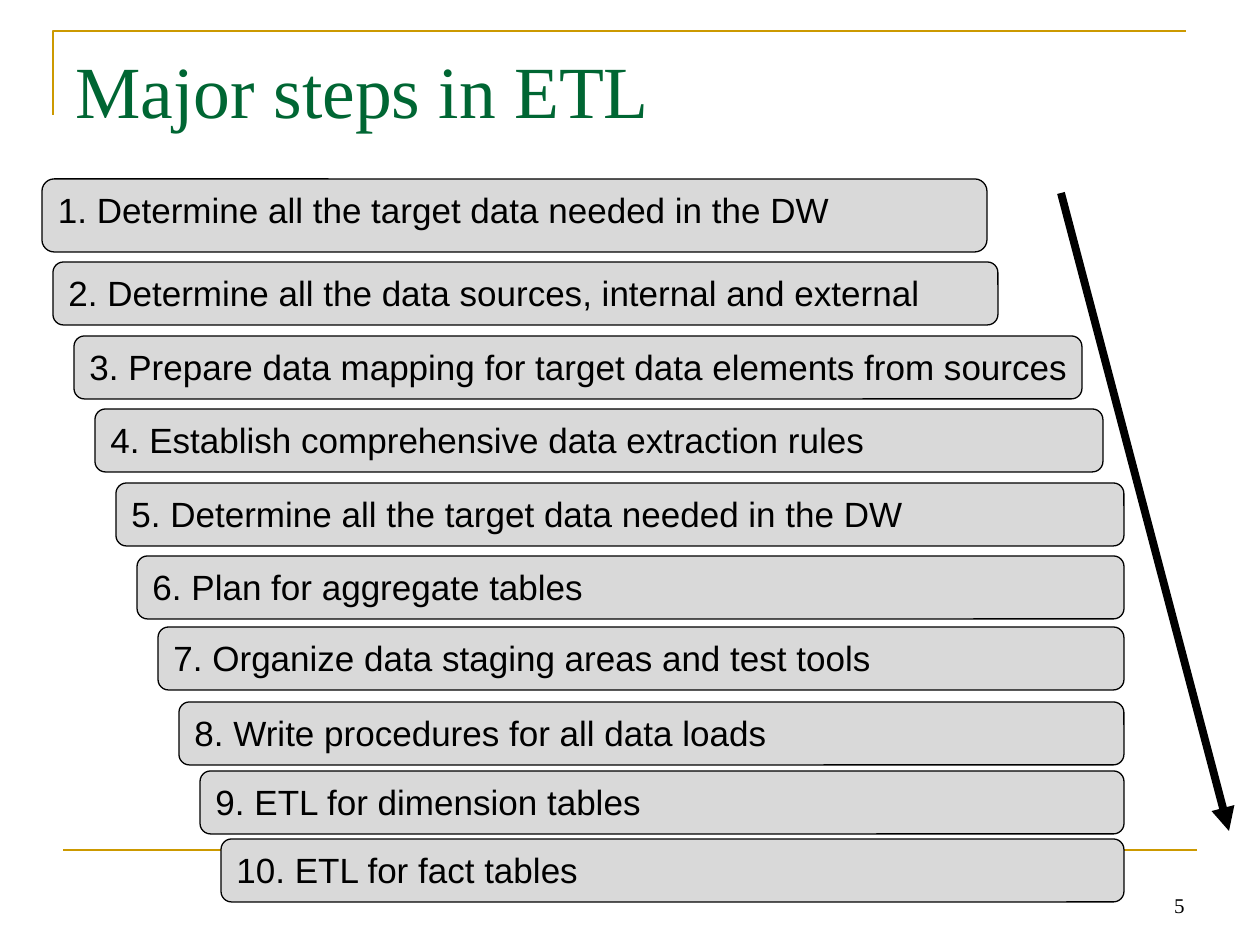
from dataclasses import dataclass
from typing import Any

from lxml import etree
from pptx import Presentation
from pptx import util as u
from pptx.dml.color import RGBColor
from pptx.enum import shapes, text
from pptx.oxml.ns import qn

PX = 914400 / 126
GOLD = RGBColor(0xCC, 0x99, 0x00)
GREEN = RGBColor(0x00, 0x66, 0x33)
GREY = RGBColor(0xD9, 0xD9, 0xD9)
BLACK = RGBColor(0x00, 0x00, 0x00)
SERIF, SANS = "Times New Roman", "Arial"

# wording, top, right edge
STEPS = [
    ("Determine all the target data needed in the DW", 179, 987),
    ("Determine all the data sources, internal and external", 262, 998),
    ("Prepare data mapping for target data elements from sources", 336, 1082),
    ("Establish comprehensive data extraction rules", 409, 1103),
    ("Determine all the target data needed in the DW", 483, 1124),
    ("Plan for aggregate tables", 556, 1124),
    ("Organize data staging areas and test tools", 627, 1124),
    ("Write procedures for all data loads", 702, 1124),
    ("ETL for dimension tables", 771, 1124),
    ("ETL for fact tables", 839, 1124),
]
FIRST_LEFT, INDENT_START, INDENT = 42, 32, 21


def px(*lengths):
    return [u.Emu(round(length * PX)) for length in lengths]


def write(frame, wording, size, font=SANS, color=BLACK,
          align=text.PP_ALIGN.LEFT, anchor=text.MSO_ANCHOR.TOP):
    frame.word_wrap = True
    frame.auto_size = text.MSO_AUTO_SIZE.NONE
    frame.vertical_anchor = anchor
    paragraph = frame.paragraphs[0]
    paragraph.alignment = align
    run = paragraph.add_run()
    run.text = wording
    run.font.size = u.Pt(size)
    run.font.name = font
    run.font.color.rgb = color


@dataclass
class StepSlide:
    slide: Any
    rule_width: float = 1.5
    box_width: float = 0.75
    corner: float = 0.167

    def title(self, wording, left, top, width, height):
        title = self.slide.shapes.title
        title.left, title.top, title.width, title.height = px(left, top, width, height)
        title.text_frame.margin_top = px(7)[0]
        write(title.text_frame, wording, 42, SERIF, GREEN)

    def label(self, wording, left, top, width, height):
        box = self.slide.shapes.add_textbox(*px(left, top, width, height))
        write(box.text_frame, wording, 12, SERIF,
              align=text.PP_ALIGN.RIGHT, anchor=text.MSO_ANCHOR.BOTTOM)

    def step(self, wording, left, top, width, height):
        """Draw a step box; no right margin, so the longest step stays on one line."""
        box = self.slide.shapes.add_shape(
            shapes.MSO_SHAPE.ROUNDED_RECTANGLE, *px(left, top, width, height))
        box.adjustments[0] = self.corner
        box.shadow.inherit = False
        box.fill.solid()
        box.fill.fore_color.rgb = GREY
        box.line.color.rgb = BLACK
        box.line.width = u.Pt(self.box_width)
        box.text_frame.margin_right = 0
        write(box.text_frame, wording, 20)

    def corner_rule(self, start, *others):
        builder = self.slide.shapes.build_freeform(*start, scale=PX)
        builder.add_line_segments(others, close=False)
        rule = builder.convert_to_shape()
        rule.shadow.inherit = False
        rule.fill.background()
        rule.line.color.rgb = GOLD
        rule.line.width = u.Pt(self.rule_width)

    def line(self, start, end, color, width, arrow=False):
        line = self.slide.shapes.add_connector(
            shapes.MSO_CONNECTOR.STRAIGHT, *px(*start, *end))
        line.line.color.rgb = color
        line.line.width = u.Pt(width)
        if arrow:
            etree.SubElement(line.line._get_or_add_ln(), qn("a:tailEnd"), type="triangle")
        etree.SubElement(line._element.spPr, qn("a:effectLst"))


def main():
    deck = Presentation()
    deck.slide_width, deck.slide_height = px(1260, 945)
    page = StepSlide(deck.slides.add_slide(deck.slide_layouts[5]))

    page.corner_rule((53, 115), (53, 31), (1186, 31))
    page.line((63, 850), (1197, 850), GOLD, page.rule_width)
    page.title("Major steps in ETL", 63, 38, 1134, 157)
    page.label("5", 903, 861, 294, 63)

    for number, (wording, top, right) in enumerate(STEPS, start=1):
        left = max(FIRST_LEFT, INDENT_START + INDENT * (number - 1))
        height = 73 if number == 1 else 63
        page.step(f"{number}. {wording}", left, top, right - left, height)

    page.line((1061, 193), (1229, 831), BLACK, 4.5, arrow=True)
    deck.save("out.pptx")


if __name__ == "__main__":
    main()
